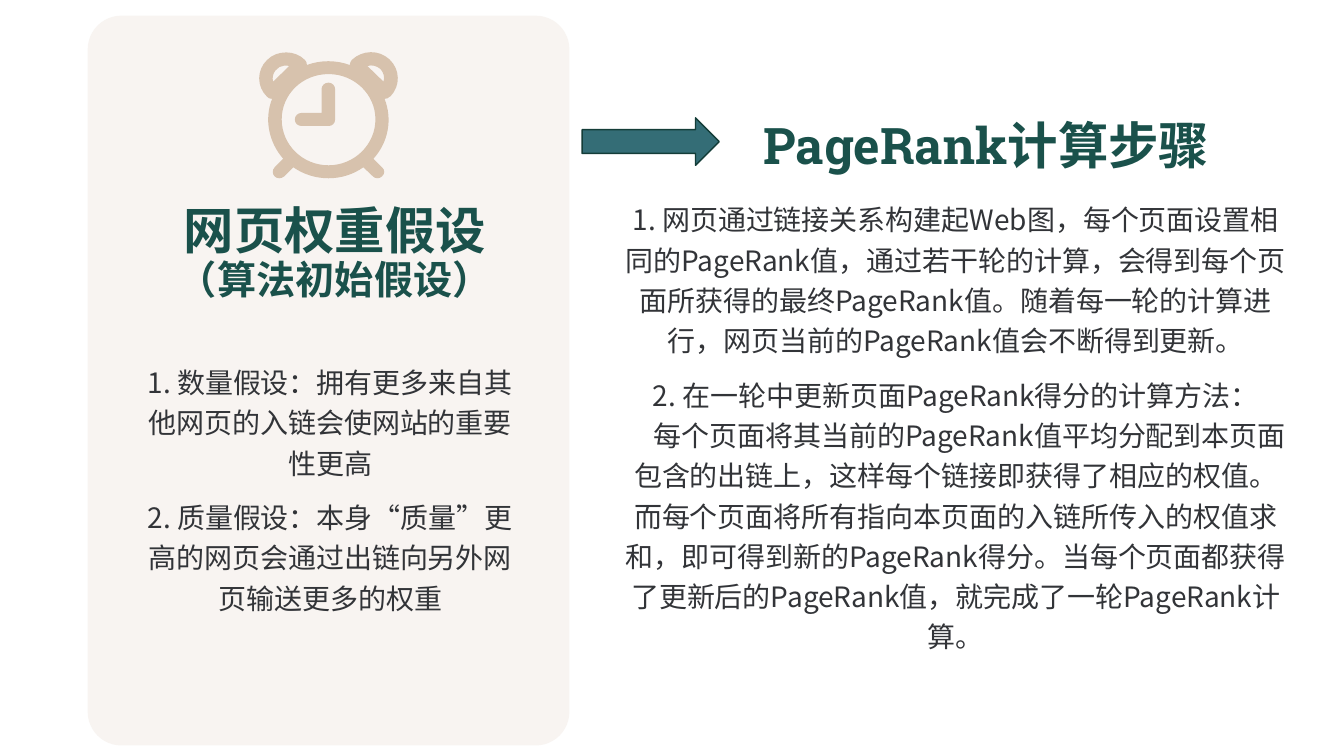
from lxml import etree
from pptx import Presentation
from pptx import util as u
from pptx.dml.color import RGBColor
from pptx.enum import shapes, text
from pptx.oxml.ns import qn

THEME = {
    "heading": "1A514B", "body": "323438", "card": "F8F4F1", "icon": "D7C2AD",
    "arrow": "346D76", "arrow_line": "143D38",
    "title_size": 72, "subtitle_size": 56, "body_size": 40,
    "sans": "Noto Sans CJK SC", "slab": "Roboto Slab",
}

TITLE = "PageRank计算步骤"
CARD_HEADING = [("网页权重假设", THEME["title_size"]),
                ("（算法初始假设）", THEME["subtitle_size"])]
ASSUMPTIONS = [
    "1. 数量假设：拥有更多来自其他网页的入链会使网站的重要性更高",
    "2. 质量假设：本身“质量”更高的网页会通过出链向另外网页输送更多的权重",
]
STEPS = [
    "1. 网页通过链接关系构建起Web图，每个页面设置相同的PageRank值，通过若干轮的计算，"
    "会得到每个页面所获得的最终PageRank值。随着每一轮的计算进行，"
    "网页当前的PageRank值会不断得到更新。",
    "2. 在一轮中更新页面PageRank得分的计算方法：\v"
    "　每个页面将其当前的PageRank值平均分配到本页面包含的出链上，"
    "这样每个链接即获得了相应的权值。而每个页面将所有指向本页面的入链所传入的权值求和，"
    "即可得到新的PageRank得分。当每个页面都获得了更新后的PageRank值，"
    "就完成了一轮PageRank计算。",
]

# Left, top, width, height in centimetres
PLACES = {
    "card": (4.42, 0.79, 24.28, 36.78),
    "card_heading": (4.42, 10.21, 24.92, 5.21),
    "assumptions": (7.19, 17.93, 18.9, 13.03),
    "steps": (31.24, 9.73, 33.86, 21.23),
    "title": (37.26, 5.92, 24.92, 3.05),
    "arrow": (29.34, 5.94, 6.91, 2.39),
}

# Alarm clock outlines: a pair is a corner, six numbers are a Bézier curve.
CLOCK_UNIT = 0.0254  # centimetres
CLOCK = {
    "hands": [(665, 177), (665, 237), (665, 245, 659, 250, 652, 250), (599, 250),
              (591, 250, 585, 245, 585, 237), (585, 230, 591, 224, 599, 224),
              (638, 224), (638, 177), (638, 170, 644, 164, 652, 164),
              (659, 164, 665, 170, 665, 177)],
    "body": [(764, 196), (764, 196, 763, 196, 763, 196),
             (779, 236, 771, 282, 741, 315), (758, 332),
             (764, 337, 764, 345, 758, 350), (753, 355, 745, 355, 740, 350),
             (721, 332), (680, 361, 624, 361, 582, 332), (564, 350),
             (558, 355, 550, 355, 545, 350), (540, 345, 540, 337, 545, 332),
             (562, 315), (533, 282, 524, 236, 540, 196),
             (540, 196, 540, 196, 539, 196),
             (536, 196, 532, 195, 530, 192), (509, 172, 509, 139, 530, 119),
             (540, 109, 553, 104, 568, 104), (582, 104, 595, 109, 605, 119),
             (608, 122, 609, 125, 609, 129), (636, 119, 667, 119, 694, 129),
             (694, 125, 696, 122, 698, 119), (719, 99, 752, 98, 773, 118),
             (794, 138, 795, 170, 775, 191), (774, 191, 774, 192, 773, 192),
             (771, 195, 767, 196, 764, 196)],
    "right_bell": [(729, 131), (761, 162), (764, 153, 761, 144, 755, 137),
                   (748, 131, 738, 128, 729, 131)],
    "left_bell": [(541, 156), (541, 158, 541, 160, 542, 162), (574, 131),
                  (560, 127, 546, 135, 542, 149), (541, 151, 541, 153, 541, 156)],
    "face": [(745, 237), (745, 187, 703, 147, 652, 147), (600, 147, 559, 187, 559, 237),
             (559, 287, 600, 328, 652, 328), (703, 328, 745, 287, 745, 237)],
}


def place(name):
    return [u.Cm(length) for length in PLACES[name]]


def paint(shape, fill, line=None):
    shape.shadow.inherit = False
    shape.fill.solid()
    shape.fill.fore_color.rgb = RGBColor.from_string(fill)
    if line:
        shape.line.color.rgb = RGBColor.from_string(line)
        shape.line.width = u.Pt(2)
    else:
        shape.line.fill.background()


def write(box, lines, colour, spacing, gap=0, bold=False, latin=THEME["sans"],
          anchor=text.MSO_ANCHOR.TOP):
    """Fill a box with (words, size) lines."""
    frame = box.text_frame
    frame.word_wrap = True
    frame.auto_size = text.MSO_AUTO_SIZE.SHAPE_TO_FIT_TEXT
    frame.vertical_anchor = anchor
    frame.margin_left = frame.margin_right = u.Cm(0.16)
    frame.margin_top = frame.margin_bottom = u.Cm(0.16)
    for index, (words, size) in enumerate(lines):
        para = frame.add_paragraph() if index else frame.paragraphs[0]
        para.text = words
        para.alignment = text.PP_ALIGN.CENTER
        para.line_spacing = spacing
        para.space_before = u.Pt(gap if index else 0)
        font = para.font
        font.size, font.bold, font.name = u.Pt(size), bold, latin
        font.color.rgb = RGBColor.from_string(colour)
        settings = para._p.pPr
        settings.set("hangingPunct", "0")
        latin_tag = settings.find(qn("a:defRPr")).find(qn("a:latin"))
        latin_tag.addnext(etree.Element(qn("a:ea"), typeface=THEME["sans"]))


def to_points(piece):
    """Pair up the numbers of a corner or curve, in EMU."""
    lengths = [u.Cm(number * CLOCK_UNIT) for number in piece]
    return list(zip(lengths[::2], lengths[1::2]))


def draw_clock(page):
    """Draw the outlines through their corners, then bend the curved segments."""
    outlines = [[to_points(piece) for piece in outline] for outline in CLOCK.values()]
    builder = page.shapes.build_freeform(*outlines[0][0][0], scale=1.0)
    for index, outline in enumerate(outlines):
        corners = [piece[-1] for piece in outline]
        if index:
            builder.move_to(*corners[0])
        builder.add_line_segments(corners[1:], close=True)
    clock = builder.convert_to_shape()
    segments = list(clock._element.iter(qn("a:lnTo")))
    pieces = [piece for outline in outlines for piece in outline[1:]]
    for segment, piece in zip(segments, pieces):
        if len(piece) == 3:
            curve = etree.Element(qn("a:cubicBezTo"))
            for x, y in piece:
                etree.SubElement(curve, qn("a:pt"),
                                 x=str(x - clock.left), y=str(y - clock.top))
            segment.getparent().replace(segment, curve)
    paint(clock, THEME["icon"])


def main():
    deck = Presentation()
    deck.slide_width, deck.slide_height = u.Cm(67.74), u.Cm(38.1)
    page = deck.slides.add_slide(deck.slide_layouts[5])

    card = page.shapes.add_shape(shapes.MSO_SHAPE.ROUNDED_RECTANGLE, *place("card"))
    card.adjustments[0] = 0.07
    paint(card, THEME["card"])
    draw_clock(page)

    heading = {"colour": THEME["heading"], "spacing": 0.9, "bold": True,
               "anchor": text.MSO_ANCHOR.MIDDLE}
    write(page.shapes.add_textbox(*place("card_heading")), CARD_HEADING, **heading)
    title = page.shapes.title
    title.left, title.top, title.width, title.height = place("title")
    write(title, [(TITLE, THEME["title_size"])], latin=THEME["slab"], **heading)

    for name, items in (("assumptions", ASSUMPTIONS), ("steps", STEPS)):
        write(page.shapes.add_textbox(*place(name)),
              [(item, THEME["body_size"]) for item in items],
              THEME["body"], spacing=1.2, gap=20)

    arrow = page.shapes.add_shape(shapes.MSO_SHAPE.RIGHT_ARROW, *place("arrow"))
    paint(arrow, THEME["arrow"], THEME["arrow_line"])
    deck.save("out.pptx")


if __name__ == "__main__":
    main()
